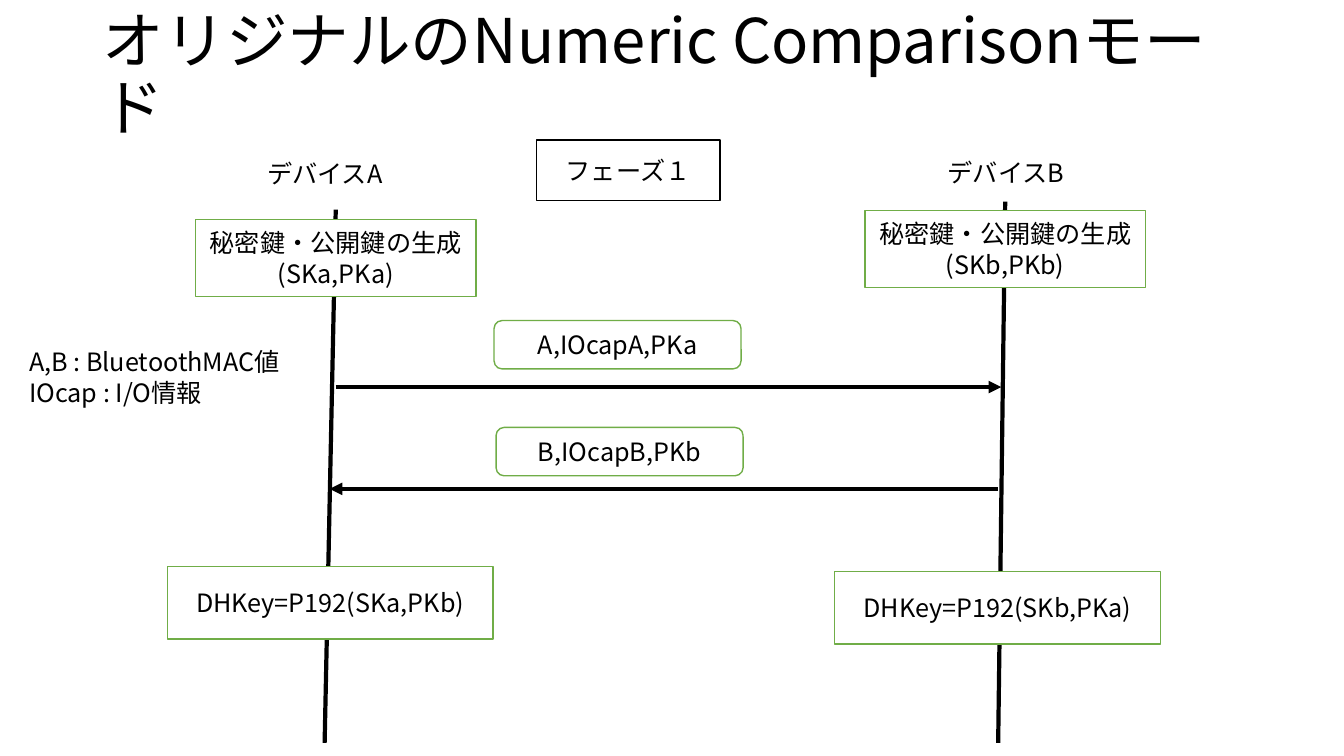
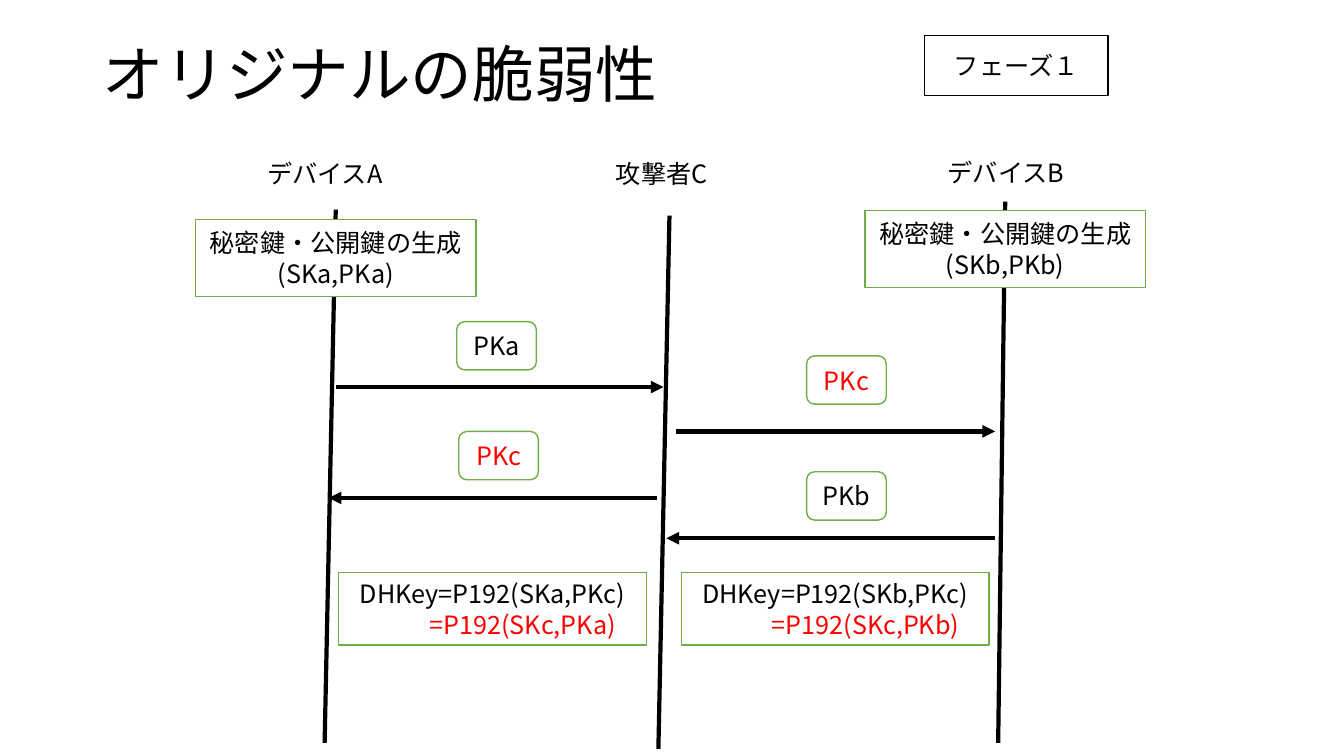
"""Build two sequence diagrams of a Numeric Comparison key exchange and its weakness."""
from lxml import etree
from pptx import Presentation
from pptx import util as u
from pptx.dml.color import RGBColor
from pptx.enum import shapes, text
from pptx.oxml.ns import qn

FONT = "Noto Sans CJK JP"
COLORS = {"ink": "000000", "paper": "FFFFFF", "frame": "70AD47", "attack": "FF0000"}
RECT = shapes.MSO_SHAPE.RECTANGLE
ROUNDED = shapes.MSO_SHAPE.ROUNDED_RECTANGLE


def write(shape, lines, size=18, align=text.PP_ALIGN.LEFT, attack_lines=()):
    frame = shape.text_frame
    frame.word_wrap = True
    frame.text = "\n".join(lines)
    for index, paragraph in enumerate(frame.paragraphs):
        paragraph.alignment = align
        for run in paragraph.runs:
            run.font.size = u.Pt(size)
            run.font.name = FONT
            color = "attack" if index in attack_lines else "ink"
            run.font.color.rgb = RGBColor.from_string(COLORS[color])
            etree.SubElement(run.font._element, qn("a:ea"), typeface=FONT)


def draw_line(slide, start, end, arrow=False):
    line = slide.shapes.add_connector(
        shapes.MSO_CONNECTOR.STRAIGHT, *[u.Inches(v) for v in (*start, *end)])
    line.line.color.rgb = RGBColor.from_string(COLORS["ink"])
    line.line.width = u.Pt(3)
    if arrow:
        etree.SubElement(line.line._get_or_add_ln(), qn("a:tailEnd"), type="triangle")
    etree.SubElement(line._element.spPr, qn("a:effectLst"))


devices = [((3.33, 2.08), (3.22, 7.37)), ((9.97, 2), (9.9, 7.37))]
attacker = ((6.64, 2.14), (6.53, 7.43))
device_labels = [
    ((2.55, 1.52, 1.55, 0.4), ["デバイスA"]),
    ((9.3, 1.51, 1.55, 0.4), ["デバイスB"]),
]
key_generation = [
    (RECT, (1.94, 2.18, 2.78, 0.76), ["秘密鍵・公開鍵の生成", "(SKa,PKa)"], ()),
    (RECT, (8.58, 2.09, 2.78, 0.76), ["秘密鍵・公開鍵の生成", "(SKb,PKb)"], ()),
]

diagrams = [
    {
        "title": "オリジナルのNumeric Comparisonモード",
        "phase": (5.32, 1.39),
        "lifelines": devices,
        "labels": device_labels + [
            ((0.19, 3.39, 2.79, 1.01), ["A,B : BluetoothMAC値", "IOcap : I/O情報"])],
        "messages": [(3.33, 9.93, 3.84), (9.9, 3.27, 4.85)],
        "boxes": key_generation + [
            (ROUNDED, (4.9, 3.18, 2.45, 0.48), ["A,IOcapA,PKa"], ()),
            (ROUNDED, (4.92, 4.24, 2.45, 0.48), ["B,IOcapB,PKb"], ()),
            (RECT, (1.66, 5.62, 3.23, 0.72), ["DHKey=P192(SKa,PKb)"], ()),
            (RECT, (8.28, 5.67, 3.23, 0.72), ["DHKey=P192(SKb,PKa)"], ()),
        ],
    },
    {
        "title": "オリジナルの脆弱性",
        "phase": (9.17, 0.35),
        "lifelines": devices + [attacker],
        "labels": device_labels + [((6.01, 1.52, 1.25, 0.41), ["攻撃者C"])],
        "messages": [(3.33, 6.58, 3.84), (6.52, 3.26, 4.94),
                     (6.7, 9.87, 4.28), (9.87, 6.61, 5.34)],
        "boxes": key_generation + [
            (ROUNDED, (4.53, 3.19, 0.79, 0.48), ["PKa"], ()),
            (ROUNDED, (4.55, 4.28, 0.79, 0.48), ["PKc"], (0,)),
            (ROUNDED, (8, 3.53, 0.79, 0.48), ["PKc"], (0,)),
            (ROUNDED, (8, 4.68, 0.79, 0.48), ["PKb"], ()),
            (RECT, (3.36, 5.68, 3.05, 0.72),
             ["DHKey=P192(SKa,PKc)", "=P192(SKc,PKa)"], (1,)),
            (RECT, (6.76, 5.68, 3.05, 0.72),
             ["DHKey=P192(SKb,PKc)", "=P192(SKc,PKb)"], (1,)),
        ],
    },
]

prs = Presentation()
prs.slide_width, prs.slide_height = u.Inches(13.33), u.Inches(7.5)
layout = prs.slide_layouts[5]
layout_title = layout.placeholders[0]
layout_title.left, layout_title.top = u.Inches(0.92), u.Inches(0.04)
layout_title.width, layout_title.height = u.Inches(11.5), u.Inches(1.45)

for diagram in diagrams:
    slide = prs.slides.add_slide(layout)
    title = slide.shapes.title
    write(title, [diagram["title"]], size=44)
    title.text_frame.auto_size = text.MSO_AUTO_SIZE.NONE
    title.text_frame.vertical_anchor = text.MSO_ANCHOR.MIDDLE
    title.text_frame.paragraphs[0].line_spacing = 0.9

    for start, end in diagram["lifelines"]:
        draw_line(slide, start, end)
    for start_x, end_x, y in diagram["messages"]:
        draw_line(slide, (start_x, y), (end_x, y), arrow=True)
    for area, lines in diagram["labels"]:
        write(slide.shapes.add_textbox(*[u.Inches(v) for v in area]), lines)

    phase = (RECT, (*diagram["phase"], 1.82, 0.6), ["フェーズ１"], ())
    for preset, area, lines, attack_lines in [phase] + diagram["boxes"]:
        box = slide.shapes.add_shape(preset, *[u.Inches(v) for v in area])
        box.shadow.inherit = False
        box.fill.solid()
        box.fill.fore_color.rgb = RGBColor.from_string(COLORS["paper"])
        outline = "ink" if lines == phase[2] else "frame"
        box.line.color.rgb = RGBColor.from_string(COLORS[outline])
        box.line.width = u.Pt(1)
        box.text_frame.vertical_anchor = text.MSO_ANCHOR.MIDDLE
        write(box, lines, align=text.PP_ALIGN.CENTER, attack_lines=attack_lines)
        if 1 in attack_lines:
            derived = box.text_frame.paragraphs[1]
            derived._p.get_or_add_pPr().set("marL", str(u.Inches(0.6)))

prs.save("out.pptx")
